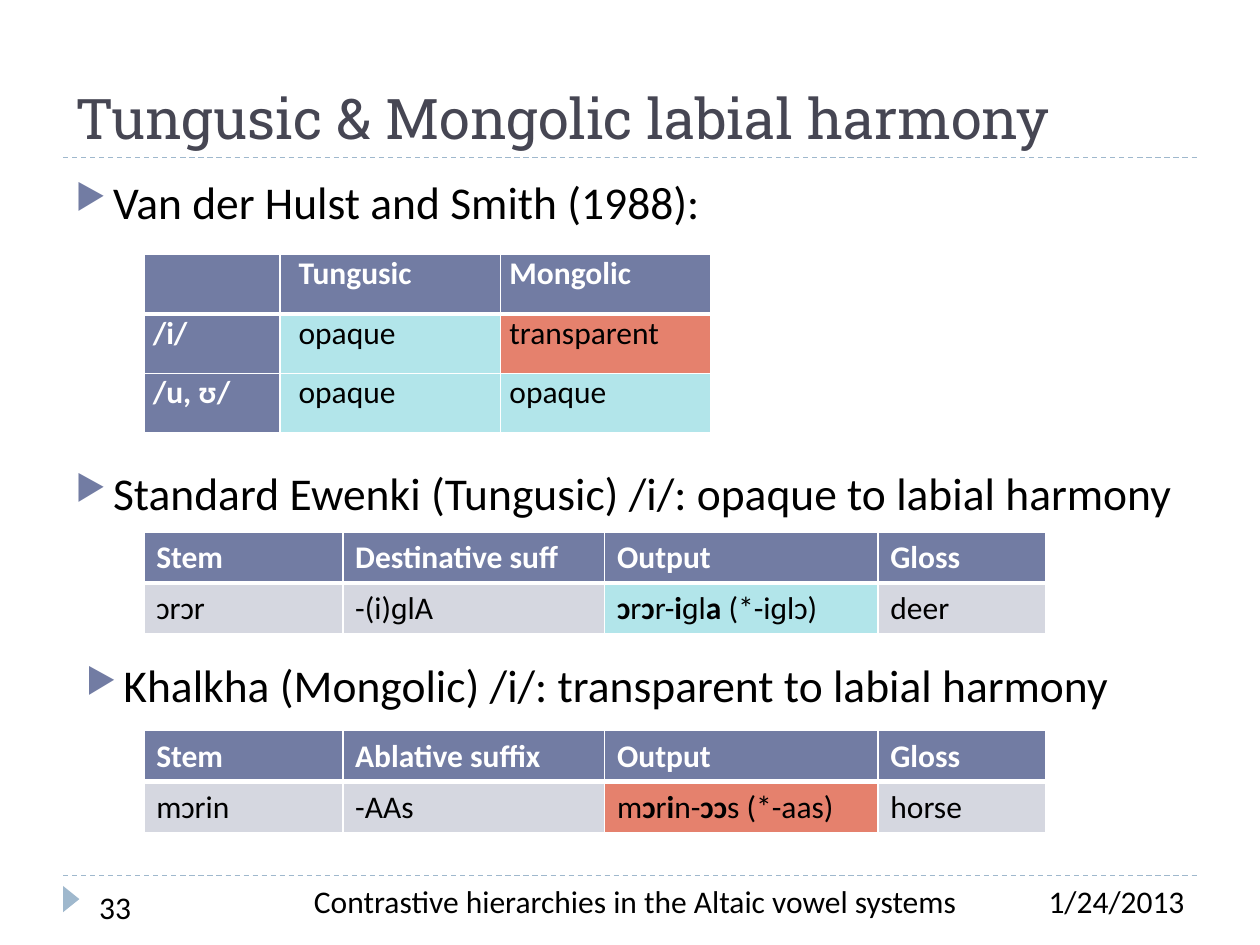
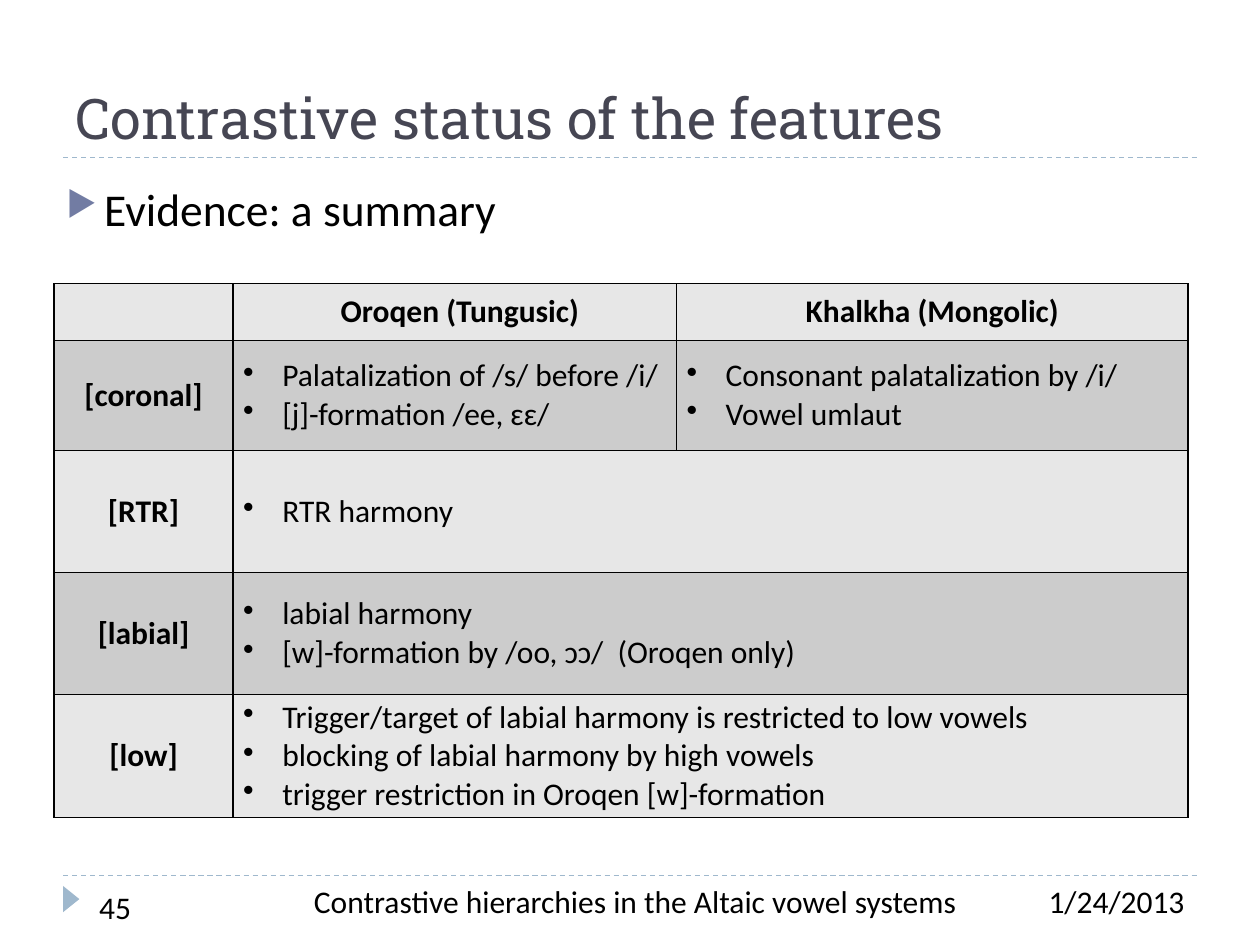
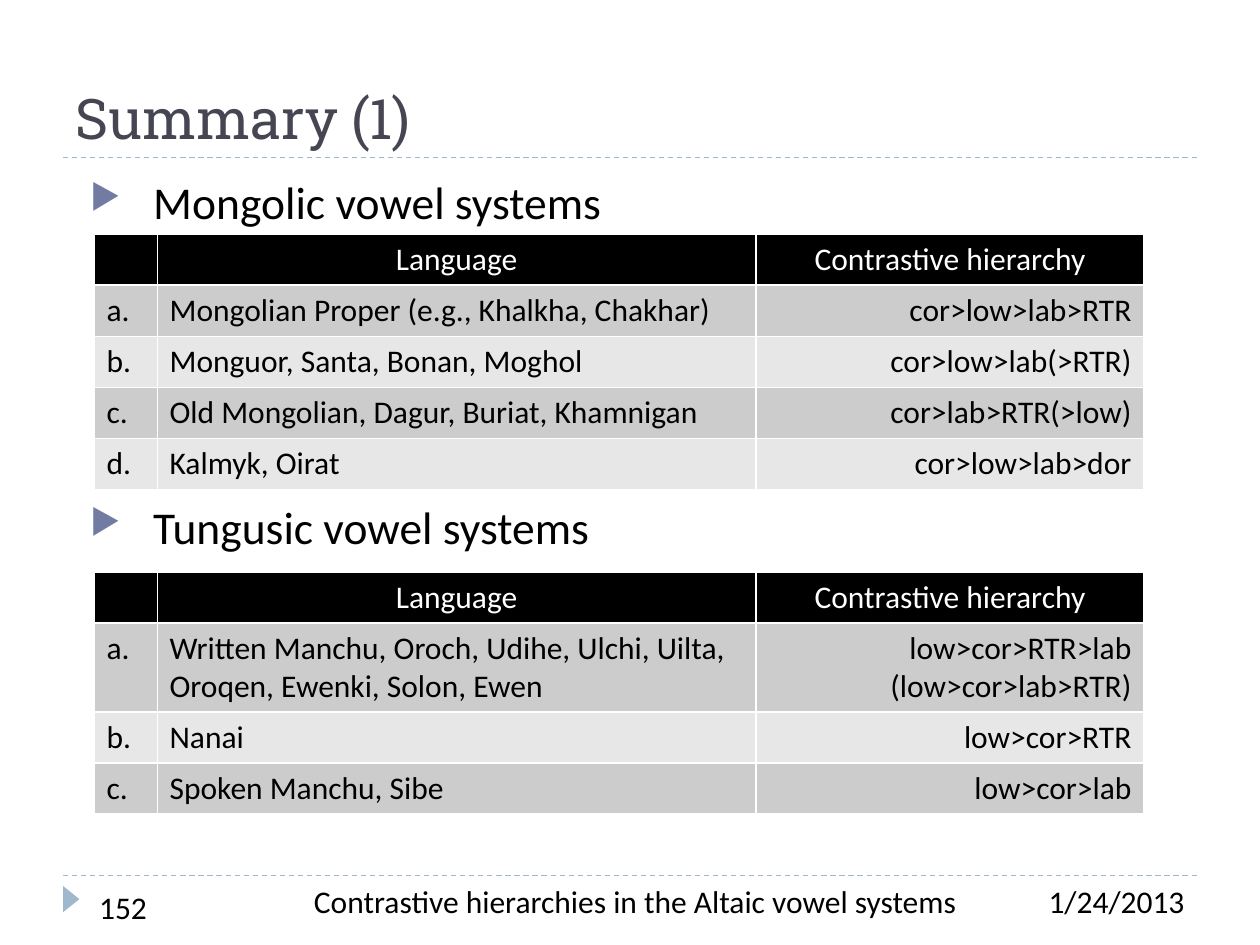
from dataclasses import dataclass, replace
from typing import Optional

from lxml.etree import SubElement
from pptx import Presentation
from pptx.dml.color import RGBColor
from pptx.enum.dml import MSO_LINE
from pptx.enum.shapes import MSO_CONNECTOR, MSO_SHAPE
from pptx.enum.text import MSO_ANCHOR, PP_ALIGN
from pptx.oxml.ns import qn
from pptx.util import Cm, Pt

BLACK = RGBColor(0x00, 0x00, 0x00)
WHITE = RGBColor(0xFF, 0xFF, 0xFF)
SLATE = RGBColor(0x46, 0x46, 0x53)
INDIGO = RGBColor(0x72, 0x7C, 0xA3)
LAVENDER = RGBColor(0xD5, 0xD7, 0xE0)
SKY = RGBColor(0x9F, 0xB8, 0xCD)
AQUA = RGBColor(0xB2, 0xE5, 0xEA)
CORAL = RGBColor(0xE5, 0x81, 0x6D)
LIGHT_GREY = RGBColor(0xE7, 0xE7, 0xE7)
MID_GREY = RGBColor(0xCC, 0xCC, 0xCC)

BODY_FONT = "Calibri"
TITLE_FONT = "Roboto Slab"
FOOTER = "Contrastive hierarchies in the Altaic vowel systems"
DATE = "1/24/2013"


@dataclass(frozen=True)
class Box:
    """Place and size in centimetres."""

    left: float
    top: float
    width: float
    height: float

    def lengths(self) -> tuple:
        """Return the four values as lengths."""
        return Cm(self.left), Cm(self.top), Cm(self.width), Cm(self.height)


@dataclass(frozen=True)
class Style:
    """Look of the text in one paragraph."""

    size: float = 18
    color: RGBColor = BLACK
    bold: bool = False
    align: PP_ALIGN = PP_ALIGN.LEFT
    font: str = BODY_FONT


@dataclass(frozen=True)
class Heading:
    """Bulleted line of the body, with the gap above it in points."""

    text: str
    gap: float = 0
    margin: float = 0.76
    hang: float = 0.76


@dataclass(frozen=True)
class Cell:
    """Table cell; a bar in the text switches bold on or off."""

    text: str
    fill: RGBColor
    style: Style = Style()
    bulleted: bool = False
    indent: float = 0


@dataclass(frozen=True)
class Grid:
    """Table with its geometry in centimetres."""

    left: float
    top: float
    columns: list[float]
    heights: list[float]
    rows: list[list[Optional[Cell]]]
    border: RGBColor = WHITE
    header_line: float = 1
    side_margin: float = 0.25
    top_margin: float = 0.13
    anchor: MSO_ANCHOR = MSO_ANCHOR.TOP


TITLE_BOX = Box(1.27, 0.43, 22.86, 2.74)
BODY_BOX = Box(1.27, 3.38, 22.86, 13.72)
SUMMARY_BOX = Box(1.09, 3.53, 23.19, 13.54)
DATE_BOX = Box(20.5, 17.65, 3.63, 1.02)
FOOTER_BOX = Box(5.11, 17.65, 15.39, 1.02)
NUMBER_BOX = Box(1.7, 17.73, 3.4, 0.94)
MARKER_BOX = Box(1.17, 17.96, 0.53, 0.33)

TITLE_STYLE = Style(32, SLATE, font=TITLE_FONT)
HEADING_STYLE = Style(26)
HEADER_STYLE = Style(color=WHITE, bold=True)
CENTRED_BOLD = Style(bold=True, align=PP_ALIGN.CENTER)


def write_paragraph(paragraph, text: str, style: Style) -> None:
    """Write text whose bar-separated parts alternate in weight."""
    paragraph.alignment = style.align
    for index, part in enumerate(text.split("|")):
        if part:
            run = paragraph.add_run()
            run.text = part
            run.font.name = style.font
            run.font.size = Pt(style.size)
            run.font.bold = style.bold != bool(index % 2)
            run.font.color.rgb = style.color


def set_indent(paragraph, margin: float, first: float) -> None:
    """Set the left margin and first-line indent."""
    properties = paragraph._p.get_or_add_pPr()
    properties.set("marL", str(Cm(margin)))
    properties.set("indent", str(Cm(first)))


def add_bullet(paragraph, character: str, color: RGBColor, percent: int) -> None:
    """Give the paragraph a bullet."""
    properties = paragraph._p.get_or_add_pPr()
    bullet_color = SubElement(properties, qn("a:buClr"))
    SubElement(bullet_color, qn("a:srgbClr"), val=str(color))
    SubElement(properties, qn("a:buSzPct"), val=str(percent * 1000))
    SubElement(properties, qn("a:buChar"), char=character)


def add_text(slide, box: Box, text: str, style: Style, anchor=MSO_ANCHOR.TOP) -> None:
    """Add a one-line text box."""
    frame = slide.shapes.add_textbox(*box.lengths()).text_frame
    frame.word_wrap = True
    frame.vertical_anchor = anchor
    write_paragraph(frame.paragraphs[0], text, style)


def add_headings(slide, box: Box, headings: list[Heading]) -> None:
    """Add the body with its bulleted headings."""
    frame = slide.shapes.add_textbox(*box.lengths()).text_frame
    frame.word_wrap = True
    for index, heading in enumerate(headings):
        paragraph = frame.add_paragraph() if index else frame.paragraphs[0]
        set_indent(paragraph, heading.margin, -heading.hang)
        add_bullet(paragraph, "▶", INDIGO, 76)
        if heading.gap:
            paragraph.space_before = Pt(heading.gap)
        write_paragraph(paragraph, heading.text, HEADING_STYLE)


def add_rule(slide, top: float) -> None:
    """Add a dashed line across the slide."""
    rule = slide.shapes.add_connector(
        MSO_CONNECTOR.STRAIGHT, Cm(1.27), Cm(top), Cm(24.13), Cm(top))
    rule.line.color.rgb = SKY
    rule.line.width = Pt(0.75)
    rule.line.dash_style = MSO_LINE.DASH
    SubElement(rule._element.spPr, qn("a:effectLst"))


def add_frame(slide, title: str, number: int) -> None:
    """Add the title, rules and footer that all slides share."""
    add_rule(slide, 17.65)
    add_rule(slide, 3.18)
    marker = slide.shapes.add_shape(MSO_SHAPE.ISOSCELES_TRIANGLE, *MARKER_BOX.lengths())
    marker.rotation = 90
    marker.shadow.inherit = False
    marker.fill.solid()
    marker.fill.fore_color.rgb = SKY
    marker.line.fill.background()
    add_text(slide, TITLE_BOX, title, TITLE_STYLE, MSO_ANCHOR.BOTTOM)
    add_text(slide, DATE_BOX, DATE, Style(align=PP_ALIGN.RIGHT))
    add_text(slide, FOOTER_BOX, FOOTER, Style(align=PP_ALIGN.CENTER))
    bracket = slide.shapes.add_shape(MSO_SHAPE.DOUBLE_BRACKET, *NUMBER_BOX.lengths())
    bracket.adjustments[0] = 0.18
    bracket.shadow.inherit = False
    bracket.fill.background()
    bracket.line.fill.background()
    bracket.text_frame.vertical_anchor = MSO_ANCHOR.TOP
    write_paragraph(bracket.text_frame.paragraphs[0], str(number), Style())


def set_borders(cell, color: RGBColor, top: float, bottom: float) -> None:
    """Draw the four borders, with side lines of one point."""
    properties = cell._tc.get_or_add_tcPr()
    for side, width in (("L", 1), ("R", 1), ("T", top), ("B", bottom)):
        line = SubElement(properties, qn(f"a:ln{side}"), w=str(Pt(width)))
        fill = SubElement(line, qn("a:solidFill"))
        SubElement(fill, qn("a:srgbClr"), val=str(color))


def fill_cell(target, cell: Cell, grid: Grid) -> None:
    """Write one cell's text, margins and fill."""
    target.fill.solid()
    target.fill.fore_color.rgb = cell.fill
    target.margin_left = target.margin_right = Cm(grid.side_margin)
    target.margin_top = target.margin_bottom = Cm(grid.top_margin)
    target.vertical_anchor = grid.anchor
    for index, line in enumerate(cell.text.split("\n")):
        frame = target.text_frame
        paragraph = frame.add_paragraph() if index else frame.paragraphs[0]
        if cell.bulleted:
            set_indent(paragraph, 0.79, -0.79)
            add_bullet(paragraph, "•", BLACK, 100)
        elif cell.indent:
            set_indent(paragraph, 0, cell.indent)
        write_paragraph(paragraph, line, cell.style)


def add_grid(slide, grid: Grid) -> None:
    """Add a table; an absent cell joins the one to its left."""
    box = Box(grid.left, grid.top, sum(grid.columns), sum(grid.heights))
    table = slide.shapes.add_table(
        len(grid.heights), len(grid.columns), *box.lengths()).table
    table.horz_banding = False
    for column, width in zip(table.columns, grid.columns):
        column.width = Cm(width)
    for row, height in zip(table.rows, grid.heights):
        row.height = Cm(height)
    for row_index, row in enumerate(grid.rows):
        top = grid.header_line if row_index == 1 else 1
        bottom = grid.header_line if row_index == 0 else 1
        for column_index, cell in enumerate(row):
            target = table.cell(row_index, column_index)
            set_borders(target, grid.border, top, bottom)
            if cell:
                fill_cell(target, cell, grid)
            else:
                table.cell(row_index, column_index - 1).merge(target)


def harmony_grid() -> Grid:
    """Compare the two families."""
    justified = Style(align=PP_ALIGN.JUSTIFY)
    header = replace(HEADER_STYLE, align=PP_ALIGN.JUSTIFY)
    rows = [[Cell("", INDIGO, header), Cell("Tungusic", INDIGO, header, indent=0.2),
             Cell("Mongolic", INDIGO, header)]]
    for vowel, mongolic, fill in (("/i/", "transparent", CORAL),
                                  ("/u, ʊ/", "opaque", AQUA)):
        rows.append([Cell(vowel, INDIGO, header),
                     Cell("opaque", AQUA, justified, indent=0.2),
                     Cell(mongolic, fill, justified)])
    return Grid(2.9, 5.13, [2.74, 4.45, 4.24], [1.2] * 3, rows,
                header_line=3, side_margin=0.18, top_margin=0)


def example_grid(top: float, suffix: str, example: list[str], highlight: RGBColor) -> Grid:
    """Show one stem, its suffix and the output."""
    header = [Cell(text, INDIGO, HEADER_STYLE)
              for text in ("Stem", suffix, "Output", "Gloss")]
    fills = (LAVENDER, LAVENDER, highlight, LAVENDER)
    row = [Cell(text, fill) for text, fill in zip(example, fills)]
    return Grid(2.9, top, [4.01, 5.28, 5.51, 3.38], [1.03] * 2, [header, row],
                header_line=3)


def evidence_grid() -> Grid:
    """List the evidence for each feature."""
    header = [Cell(text, LIGHT_GREY, CENTRED_BOLD)
              for text in ("", "Oroqen (Tungusic)", "Khalkha (Mongolic)")]
    header[1] = replace(header[1], indent=0.2)
    evidence = [
        ("[coronal]", "Palatalization of /s/ before /i/\n[j]-formation /ee, ɛɛ/",
         "Consonant palatalization by /i/\nVowel umlaut"),
        ("[RTR]", "RTR harmony", None),
        ("[labial]", "labial harmony\n[w]-formation by /oo, ɔɔ/  (Oroqen only)", None),
        ("[low]", "Trigger/target of labial harmony is restricted to low vowels\n"
         "blocking of labial harmony by high vowels\n"
         "trigger restriction in Oroqen [w]-formation", None),
    ]
    rows = [header]
    for index, (feature, *points) in enumerate(evidence):
        fill = LIGHT_GREY if index % 2 else MID_GREY
        rows.append([Cell(feature, fill, CENTRED_BOLD)] + [
            Cell(text, fill, bulleted=True) if text else None for text in points])
    return Grid(1.09, 5.72, [3.61, 8.94, 10.31], [1.14, 2.22, 2.46, 2.46, 2.48], rows,
                border=BLACK, side_margin=0.2, top_margin=0, anchor=MSO_ANCHOR.MIDDLE)


def hierarchy_grid(top: float, languages: list[tuple[str, str]]) -> Grid:
    """List languages, lettered from a, with their hierarchies."""
    header_style = Style(color=WHITE, align=PP_ALIGN.CENTER)
    rows = [[Cell(text, BLACK, header_style)
             for text in ("", "Language", "Contrastive hierarchy")]]
    heights = [1.03]
    for index, (language, hierarchy) in enumerate(languages):
        fill = LIGHT_GREY if index % 2 else MID_GREY
        rows.append([Cell(f"{'abcd'[index]}.", fill), Cell(language, fill),
                     Cell(hierarchy, fill, Style(align=PP_ALIGN.RIGHT))])
        heights.append(1.03 + 0.76 * hierarchy.count("\n"))
    return Grid(1.9, top, [1.27, 12.07, 7.82], heights, rows)


def build_harmony(slide) -> None:
    """Build the labial harmony slide."""
    add_frame(slide, "Tungusic & Mongolic labial harmony", 33)
    add_headings(slide, BODY_BOX, [
        Heading("Van der Hulst and Smith (1988):"),
        Heading("Standard Ewenki (Tungusic) /i/: opaque to labial harmony", 135),
        Heading("Khalkha (Mongolic) /i/: transparent to labial harmony", 79, margin=0.97),
    ])
    add_grid(slide, example_grid(
        14.73, "Ablative suffix",
        ["mɔrin", "-AAs", "m|ɔ|r|i|n-|ɔɔ|s (*-aas)", "horse"], CORAL))
    add_grid(slide, example_grid(
        10.72, "Destinative suff",
        ["ɔrɔr", "-(i)ɡlA", "|ɔ|r|ɔ|r-|i|ɡl|a| (*-iɡlɔ)", "deer"], AQUA))
    add_grid(slide, harmony_grid())


def build_evidence(slide) -> None:
    """Build the slide on the status of the features."""
    add_frame(slide, "Contrastive status of the features", 45)
    add_grid(slide, evidence_grid())
    add_headings(slide, SUMMARY_BOX, [Heading("Evidence: a summary")])


def build_summary(slide) -> None:
    """Build the summary of vowel systems."""
    add_frame(slide, "Summary (1)", 152)
    add_headings(slide, BODY_BOX, [
        Heading("Mongolic vowel systems", margin=1.57, hang=1.27),
        Heading("Tungusic vowel systems", 154.5, 1.57, 1.27),
    ])
    add_grid(slide, hierarchy_grid(4.72, [
        ("Mongolian Proper (e.g., Khalkha, Chakhar)", "cor>low>lab>RTR"),
        ("Monguor, Santa, Bonan, Moghol", "cor>low>lab(>RTR)"),
        ("Old Mongolian, Dagur, Buriat, Khamnigan", "cor>lab>RTR(>low)"),
        ("Kalmyk, Oirat", "cor>low>lab>dor"),
    ]))
    add_grid(slide, hierarchy_grid(11.53, [
        ("Written Manchu, Oroch, Udihe, Ulchi, Uilta, Oroqen, Ewenki, Solon, Ewen",
         "low>cor>RTR>lab\n(low>cor>lab>RTR)"),
        ("Nanai", "low>cor>RTR"),
        ("Spoken Manchu, Sibe", "low>cor>lab"),
    ]))


def main() -> None:
    """Build and save the presentation."""
    presentation = Presentation()
    presentation.slide_width = Cm(25.4)
    presentation.slide_height = Cm(19.05)
    for build in (build_harmony, build_evidence, build_summary):
        build(presentation.slides.add_slide(presentation.slide_layouts[6]))
    presentation.save("out.pptx")


if __name__ == "__main__":
    main()
